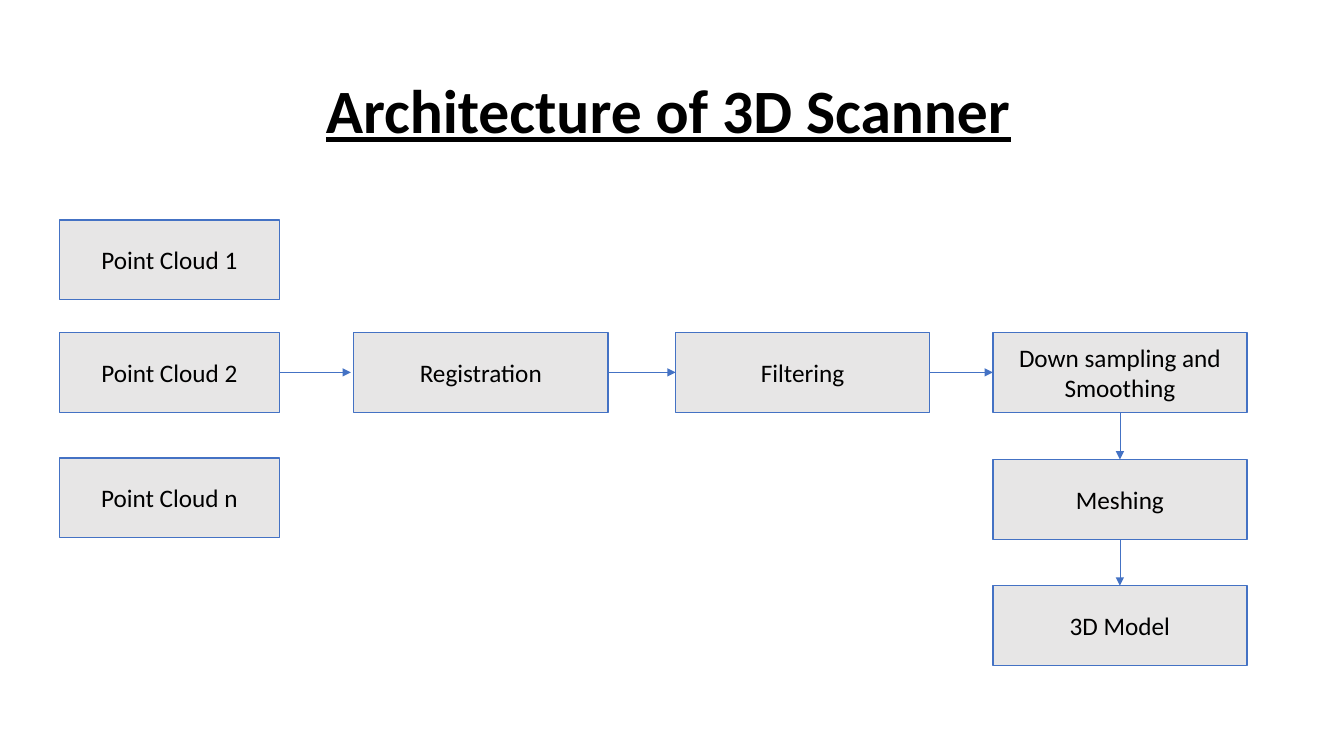
from lxml import etree
from pptx import Presentation
from pptx import util as u
from pptx.dml.color import RGBColor
from pptx.enum import shapes, text
from pptx.oxml.ns import qn

COLORS = {"box": "E7E6E6", "line": "4472C4", "text": "000000"}
FONT = "Calibri"
BOX_H = 57
CLOUD_W, STEP_W = 157, 181.5
CLOUD_X, ROW_Y = 42.5, 237.5
LAST_X = 709.2
TOP, LEFT, BOTTOM, RIGHT = range(4)  # connection sites of a rectangle

CLOUDS = [("Point Cloud 1", 157), ("Point Cloud 2", ROW_Y), ("Point Cloud n", 327)]
ROW_STEPS = [("Registration", 252.7), ("Filtering", 482.6),
             ("Down sampling and Smoothing", LAST_X)]
COLUMN_STEPS = [("Meshing", 328.2), ("3D Model", 418.3)]


def color(name):
    return RGBColor.from_string(COLORS[name])


def write(tf, content, size, bold=False, underline=False):
    tf.word_wrap = True
    tf.vertical_anchor = text.MSO_ANCHOR.MIDDLE
    p = tf.paragraphs[0]
    p.alignment = text.PP_ALIGN.CENTER
    r = p.add_run()
    r.text = content
    r.font.name = FONT
    r.font.size = u.Pt(size)
    r.font.bold = bold
    r.font.underline = underline
    r.font.color.rgb = color("text")
    return p


def add_title(s, content):
    sp = s.shapes.add_textbox(u.Pt(60.5), u.Pt(29), u.Pt(834), u.Pt(104))
    p = write(sp.text_frame, content, 44, bold=True, underline=True)
    p.line_spacing = 0.9


def add_box(s, label, x, y, w):
    sp = s.shapes.add_shape(shapes.MSO_SHAPE.RECTANGLE,
                            u.Pt(x), u.Pt(y), u.Pt(w), u.Pt(BOX_H))
    sp.shadow.inherit = False
    sp.fill.solid()
    sp.fill.fore_color.rgb = color("box")
    sp.line.color.rgb = color("line")
    sp.line.width = u.Pt(1)
    write(sp.text_frame, label, 18)
    return sp


def add_arrow(s, start, end, start_site, end_site, gap=0):
    """Join two boxes; a gap stops a horizontal arrow short of its target."""
    c = s.shapes.add_connector(shapes.MSO_CONNECTOR.STRAIGHT, 0, 0, 0, 0)
    c.begin_connect(start, start_site)
    if gap:
        c.end_x = end.left - u.Pt(gap)
        c.end_y = end.top + end.height // 2
    else:
        c.end_connect(end, end_site)
    c.line.color.rgb = color("line")
    c.line.width = u.Pt(0.5)
    etree.SubElement(c.line._get_or_add_ln(), qn("a:tailEnd"), type="triangle")
    etree.SubElement(c._element.spPr, qn("a:effectLst"))


def main():
    prs = Presentation()
    prs.slide_width, prs.slide_height = u.Pt(960), u.Pt(540)
    s = prs.slides.add_slide(prs.slide_layouts[6])
    add_title(s, "Architecture of 3D Scanner")

    # Input clouds and processing steps
    clouds = [add_box(s, label, CLOUD_X, y, CLOUD_W) for label, y in CLOUDS]
    row = [add_box(s, label, x, ROW_Y, STEP_W) for label, x in ROW_STEPS]
    column = [add_box(s, label, LAST_X, y, STEP_W) for label, y in COLUMN_STEPS]

    # Flow to the right, then down
    add_arrow(s, clouds[1], row[0], RIGHT, LEFT, gap=2)
    for start, end in zip(row, row[1:]):
        add_arrow(s, start, end, RIGHT, LEFT)
    for start, end in zip([row[-1]] + column, column):
        add_arrow(s, start, end, BOTTOM, TOP)

    prs.save("out.pptx")


main()
